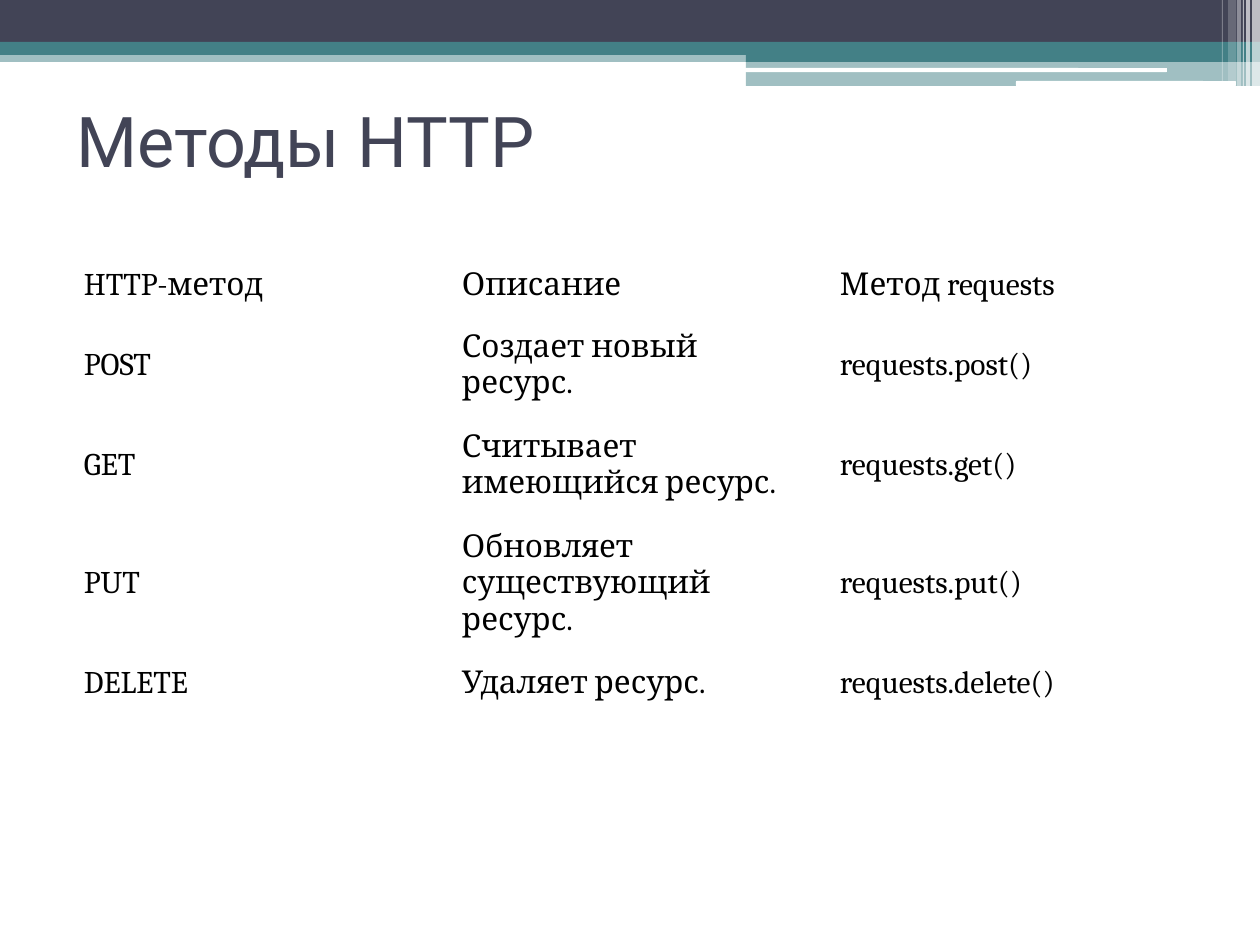
from collections import namedtuple
from dataclasses import dataclass

from lxml import etree
from pptx import Presentation
from pptx.dml.color import RGBColor
from pptx.enum.shapes import MSO_SHAPE
from pptx.enum.text import MSO_ANCHOR
from pptx.oxml.ns import qn
from pptx.util import Emu, Pt

RECTANGLE = MSO_SHAPE.RECTANGLE
ROUNDED = MSO_SHAPE.ROUNDED_RECTANGLE
MIDDLE = MSO_ANCHOR.MIDDLE
BLANK_LAYOUT = 6
PX_PER_INCH = 126

Box = namedtuple("Box", "left top width height")


@dataclass(frozen=True)
class Theme:
    dark: str = "424456"
    teal: str = "438086"
    white: str = "FFFFFF"
    black: str = "000000"
    title_font: str = "Roboto"
    body_font: str = "Cambria"
    title_size: int = 40
    body_size: int = 18


THEME = Theme()

ROWS = [
    ("HTTP-метод", "Описание", "Метод requests"),
    ("POST", "Создает новый ресурс.", "requests.post()"),
    ("GET", "Считывает имеющийся ресурс.", "requests.get()"),
    ("PUT", "Обновляет существующий ресурс.", "requests.put()"),
    ("DELETE", "Удаляет ресурс.", "requests.delete()"),
]
LINES_PER_ROW = (1, 2, 2, 3, 1)
LINE_HEIGHT = 37
CELL_INSET_X = 20
CELL_INSET_Y = 12


def px(length):
    return Emu(round(length * 914400 / PX_PER_INCH))


def place(box):
    return [px(length) for length in box]


def style_text(para, font, size, color):
    for span in para.runs:
        span.font.name = font
        span.font.size = Pt(size)
        span.font.color.rgb = RGBColor.from_string(color)


def add_bar(page, box, color, opacity=100, kind=RECTANGLE):
    bar = page.shapes.add_shape(kind, *place(box))
    bar.shadow.inherit = False
    bar.line.fill.background()
    bar.fill.solid()
    bar.fill.fore_color.rgb = RGBColor.from_string(color)
    if opacity < 100:
        tint = bar.fill._xPr.find(qn("a:solidFill"))[0]
        etree.SubElement(tint, qn("a:alpha")).set("val", str(opacity * 1000))


def add_header_bands(page, box):
    step = 746
    right_part = box.width - step
    bands = [
        (0, 50, box.width, 12, THEME.teal, 50, RECTANGLE),
        (0, 0, box.width, 43, THEME.dark, 100, RECTANGLE),
        (0, 42, box.width, 13, THEME.teal, 100, RECTANGLE),
        (step, 49, right_part, 13, THEME.teal, 100, RECTANGLE),
        (step, 61, right_part, 25, THEME.teal, 50, RECTANGLE),
        (step - 1, 68, 422, 4, THEME.white, 100, ROUNDED),
        (1016, 81, 220, 5, THEME.white, 100, ROUNDED),
    ]
    for left, top, width, height, color, opacity, kind in bands:
        part = Box(box.left + left, box.top + top, width, height)
        add_bar(page, part, color, opacity, kind)


def add_corner_stripes(page, box):
    stripes = [
        (30, 8, 86, 65),
        (24, 4, 86, 65),
        (21, 1, 86, 60),
        (15, 4, 86, 40),
        (6, 8, 81, 20),
        (0, 1, 81, 30),
    ]
    for left, width, height, opacity in stripes:
        part = Box(box.left + left, box.top, width, height)
        add_bar(page, part, THEME.white, opacity)


def add_title(page, box, text):
    frame = page.shapes.add_textbox(*place(box)).text_frame
    frame.word_wrap = True
    frame.vertical_anchor = MIDDLE
    frame.text = text
    style_text(frame.paragraphs[0], THEME.title_font, THEME.title_size, THEME.dark)


def add_methods_table(page, box):
    table = page.shapes.add_table(len(ROWS), len(ROWS[0]), *place(box)).table
    table.first_row = False
    table.horz_banding = False
    for column in table.columns:
        column.width = px(box.width // len(ROWS[0]))
    for row, lines, texts in zip(table.rows, LINES_PER_ROW, ROWS):
        row.height = px(lines * LINE_HEIGHT + 2 * CELL_INSET_Y)
        for cell, text in zip(row.cells, texts):
            cell.fill.background()
            cell.vertical_anchor = MIDDLE
            cell.margin_left = cell.margin_right = px(CELL_INSET_X)
            cell.margin_top = cell.margin_bottom = px(CELL_INSET_Y)
            cell.text_frame.text = text
            style_text(cell.text_frame.paragraphs[0], THEME.body_font,
                       THEME.body_size, THEME.black)


def main():
    deck = Presentation()
    deck.slide_width = px(1260)
    deck.slide_height = px(945)
    page = deck.slides.add_slide(deck.slide_layouts[BLANK_LAYOUT])
    add_header_bands(page, Box(0, 0, 1260, 86))
    add_corner_stripes(page, Box(1222, 0, 38, 86))
    add_title(page, Box(64, 66, 1134, 147), "Методы HTTP")
    add_methods_table(page, Box(64, 254, 1134, 396))
    deck.save("out.pptx")


if __name__ == "__main__":
    main()
